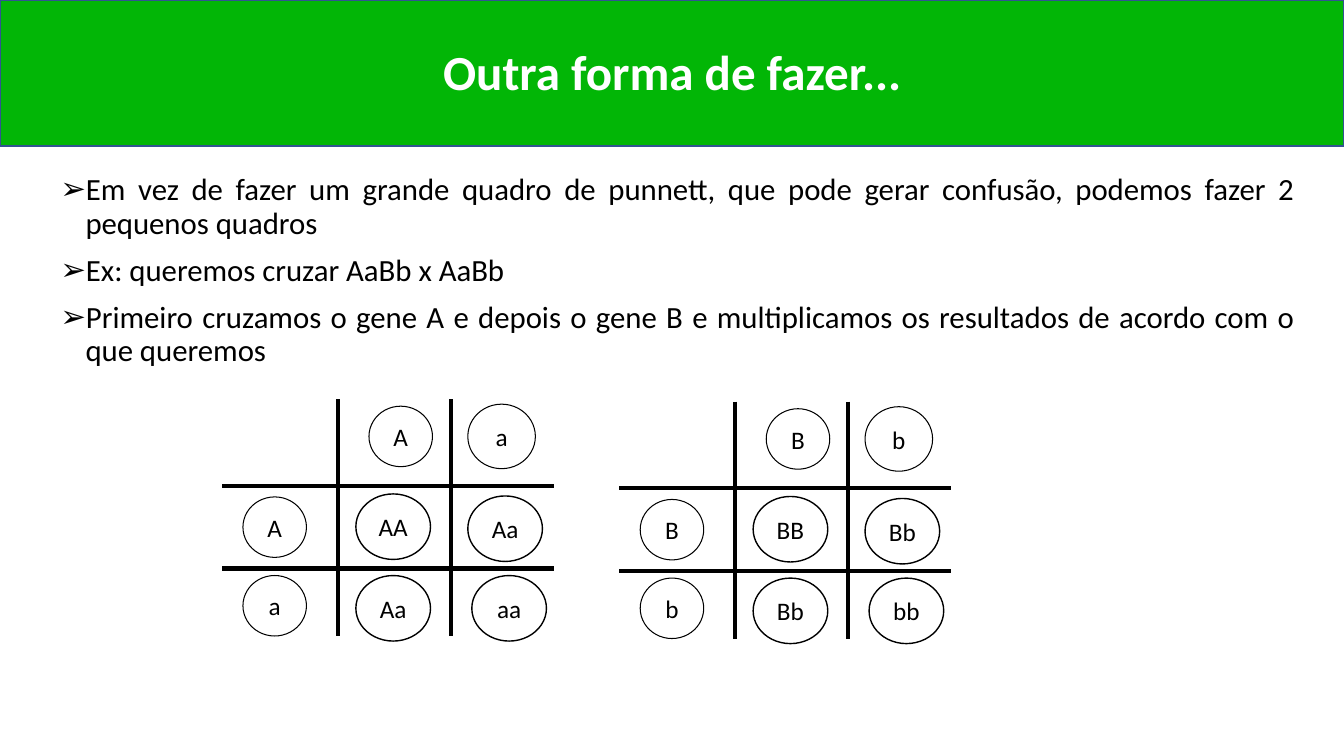
"""Build a slide that splits a dihybrid cross into two small Punnett squares."""
from lxml import etree
from pptx import Presentation
from pptx.dml.color import RGBColor
from pptx.enum.shapes import MSO_CONNECTOR, MSO_SHAPE
from pptx.enum.text import MSO_ANCHOR, PP_ALIGN
from pptx.oxml.ns import qn
from pptx.util import Inches, Pt

RECT, OVAL = MSO_SHAPE.RECTANGLE, MSO_SHAPE.OVAL
STRAIGHT = MSO_CONNECTOR.STRAIGHT
MIDDLE, TOP = MSO_ANCHOR.MIDDLE, MSO_ANCHOR.TOP
CENTER, JUSTIFY = PP_ALIGN.CENTER, PP_ALIGN.JUSTIFY

COLORS = {"green": "02B606", "border": "325491", "black": "000000", "white": "FFFFFF"}
FONT = "Calibri"
TITLE = "Outra forma de fazer..."
BULLETS = [
    "Em vez de fazer um grande quadro de punnett, que pode gerar confusão, "
    "podemos fazer 2 pequenos quadros",
    "Ex: queremos cruzar AaBb x AaBb",
    "Primeiro cruzamos o gene A e depois o gene B e multiplicamos os resultados "
    "de acordo com o que queremos",
]
SQUARES = [("A", "a", 2.2, 3.96), ("B", "b", 6.14, 3.985)]
GRID_LINES = [
    (1.15, 0, 1.15, 2.35), (2.27, 0, 2.27, 2.35),
    (3.29, 0.86, 0, 0.86), (3.29, 1.68, 0, 1.68),
]
GAMETE, WIDE_GAMETE, CHILD = (0.63, 0.6, 0.75), (0.67, 0.64, 0.75), (0.74, 0.65, 1)
CIRCLES = [
    ("{0}", 0.21, 0.97, GAMETE), ("{1}", 0.21, 1.75, GAMETE),
    ("{0}", 1.46, 0.07, GAMETE), ("{1}", 2.44, 0.05, WIDE_GAMETE),
    ("{0}{0}", 1.33, 0.94, CHILD), ("{0}{1}", 1.33, 1.75, CHILD),
    ("{0}{1}", 2.44, 0.96, CHILD), ("{1}{1}", 2.48, 1.75, CHILD),
]


def rgb(name):
    return RGBColor.from_string(COLORS[name])


def set_attrs(obj, values):
    for name, value in values.items():
        setattr(obj, name, value)


def add_bullet(p):
    pPr = p._p.get_or_add_pPr()
    pPr.set("marL", str(Inches(0.25)))
    pPr.set("indent", str(-Inches(0.25)))
    etree.SubElement(pPr, qn("a:buFont")).set("typeface", "Arial")
    etree.SubElement(pPr, qn("a:buChar")).set("char", "➢")


def write(sp, lines, size, color="black", bold=False, anchor=MIDDLE,
          bullets=False, margin=None, **paragraph):
    tf = sp.text_frame
    set_attrs(tf, {"word_wrap": True, "vertical_anchor": anchor})
    if margin is not None:
        sides = ("left", "top", "right", "bottom")
        set_attrs(tf, {f"margin_{side}": Inches(margin) for side in sides})
    for i, line in enumerate(lines):
        p = tf.add_paragraph() if i else tf.paragraphs[0]
        set_attrs(p, paragraph)
        if bullets:
            p.space_before = Pt(10 if i else 0)
            add_bullet(p)
        r = p.add_run()
        r.text = line
        set_attrs(r.font, {"name": FONT, "size": Pt(size), "bold": bold})
        r.font.color.rgb = rgb(color)


def add_shape(s, kind, box, line, width, fill=None):
    sp = s.shapes.add_shape(kind, *map(Inches, box))
    sp.shadow.inherit = False
    if fill:
        sp.fill.solid()
        sp.fill.fore_color.rgb = rgb(fill)
    else:
        sp.fill.background()
    sp.line.color.rgb = rgb(line)
    sp.line.width = Pt(width)
    return sp


def add_square(s, dominant, recessive, left, top):
    for x1, y1, x2, y2 in GRID_LINES:
        ends = (left + x1, top + y1, left + x2, top + y2)
        line = s.shapes.add_connector(STRAIGHT, *map(Inches, ends))
        line.line.color.rgb = rgb("black")
        line.line.width = Pt(3)
        etree.SubElement(line._element.spPr, qn("a:effectLst"))
    for label, x, y, style in CIRCLES:
        w, h, width = style
        fill = "white" if style is CHILD else None
        sp = add_shape(s, OVAL, (left + x, top + y, w, h), "black", width, fill)
        write(sp, [label.format(dominant, recessive)], 18, margin=0, alignment=CENTER)


def main():
    prs = Presentation()
    set_attrs(prs, {"slide_width": Inches(13.33), "slide_height": Inches(7.5)})
    s = prs.slides.add_slide(prs.slide_layouts[6])
    add_shape(s, RECT, (0, 0, 13.33, 1.45), "border", 1, "green")
    title = s.shapes.add_textbox(*map(Inches, (1.67, 0.02, 10, 1.45)))
    write(title, [TITLE], 35, "white", True, alignment=CENTER, line_spacing=0.9)
    body = s.shapes.add_textbox(*map(Inches, (0.5, 1.68, 12.44, 5.7)))
    write(body, BULLETS, 22, anchor=TOP, bullets=True, alignment=JUSTIFY, line_spacing=0.9)
    for square in SQUARES:
        add_square(s, *square)
    prs.save("out.pptx")


if __name__ == "__main__":
    main()
